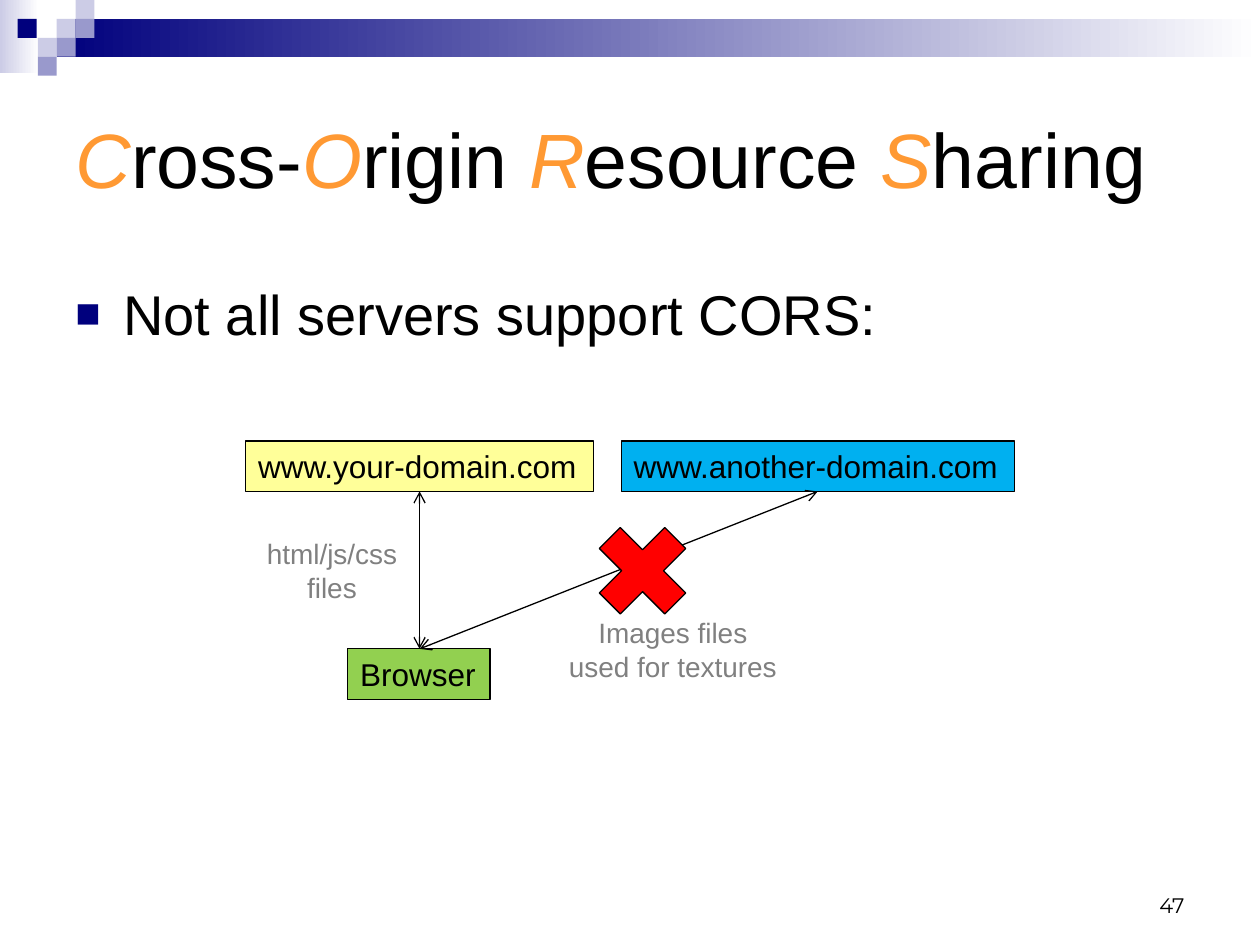
from pptx import Presentation
from pptx.dml.color import RGBColor
from pptx.enum.shapes import MSO_CONNECTOR, MSO_SHAPE
from pptx.enum.text import MSO_ANCHOR, PP_ALIGN
from pptx.oxml.ns import qn
from pptx.util import Emu, Pt
from lxml import etree

PX = 9144  # 100 px to the inch
RECTANGLE, CROSS = MSO_SHAPE.RECTANGLE, MSO_SHAPE.MATH_MULTIPLY
STRAIGHT = MSO_CONNECTOR.STRAIGHT
TOP, MIDDLE, BOTTOM = MSO_ANCHOR.TOP, MSO_ANCHOR.MIDDLE, MSO_ANCHOR.BOTTOM
LEFT, CENTER, RIGHT = PP_ALIGN.LEFT, PP_ALIGN.CENTER, PP_ALIGN.RIGHT

COLORS = {
    "black": "000000", "white": "FFFFFF", "gray": "808080",
    "navy": "00007D", "lavender": "CCCCE6", "periwinkle": "9999CC",
    "orange": "FF9933", "green": "92D050", "yellow": "FFFF99",
    "blue": "00B0F0", "red": "FF0000",
}


def px(*lengths):
    return [Emu(length * PX) for length in lengths]


def rgb(name):
    return RGBColor.from_string(COLORS[name])


class SlideBuilder:
    font = "Arial"
    line_width = Pt(0.75)

    def __init__(self, slide):
        self.slide = slide

    def shape(self, box, fill, outlined=False, kind=RECTANGLE):
        shape = self.slide.shapes.add_shape(kind, *px(*box))
        shape.shadow.inherit = False
        shape.fill.solid()
        shape.fill.fore_color.rgb = rgb(fill)
        if outlined:
            shape.line.color.rgb = rgb("black")
            shape.line.width = self.line_width
        else:
            shape.line.fill.background()
        return shape

    def fading_bar(self, box, color):
        fill = self.shape(box, color).fill
        fill.gradient()
        fill.gradient_angle = 0
        for stop, name in zip(fill.gradient_stops, (color, "white")):
            stop.color.rgb = rgb(name)

    def fill_text(self, frame, lines, size, align=LEFT, anchor=TOP, wrap=True, font=font):
        """Fill a frame with lines, each a list of (text, color, italic) runs."""
        frame.word_wrap = wrap
        frame.vertical_anchor = anchor
        for index, runs in enumerate(lines):
            paragraph = frame.add_paragraph() if index else frame.paragraphs[0]
            paragraph.alignment = align
            for text, color, italic in runs:
                run = paragraph.add_run()
                run.text = text
                run.font.name = font
                run.font.size = Pt(size)
                run.font.italic = italic
                run.font.color.rgb = rgb(color)

    def text(self, box, lines, size, **layout):
        frame = self.slide.shapes.add_textbox(*px(*box)).text_frame
        self.fill_text(frame, lines, size, **layout)
        return frame

    def bullet(self, box, text, size):
        frame = self.text(box, [[(text, "black", False)]], size)
        paragraph = frame.paragraphs[0]
        paragraph.space_before = Pt(size * 0.2)
        properties = paragraph._p.get_or_add_pPr()
        indent = 38 * PX
        properties.set("marL", str(indent))
        properties.set("indent", str(-indent))
        color = etree.SubElement(properties, qn("a:buClr"))
        etree.SubElement(color, qn("a:srgbClr"), val=COLORS["navy"])
        etree.SubElement(properties, qn("a:buSzPct"), val="75000")
        etree.SubElement(properties, qn("a:buFont"), typeface=self.font)
        etree.SubElement(properties, qn("a:buChar"), char="■")

    def node(self, box, text, fill):
        shape = self.shape(box, fill, outlined=True)
        self.fill_text(shape.text_frame, [[(text, "black", False)]], 18, wrap=False)

    def label(self, box, *lines):
        runs = [[(line, "gray", False)] for line in lines]
        self.text(box, runs, 16, align=CENTER, wrap=False)

    def double_arrow(self, start, end):
        connector = self.slide.shapes.add_connector(STRAIGHT, *px(*start, *end))
        connector.line.color.rgb = rgb("black")
        connector.line.width = self.line_width
        line = connector.line._get_or_add_ln()
        for tip in ("a:headEnd", "a:tailEnd"):
            etree.SubElement(line, qn(tip), type="arrow")
        etree.SubElement(connector._element.spPr, qn("a:effectLst"))


def draw_banner(builder):
    builder.fading_bar((0, 0, 31, 58), "lavender")
    builder.fading_bar((45, 15, 955, 30), "navy")
    side = 15
    for left, top, color in (
        (45, 15, "lavender"), (60, 0, "lavender"), (60, 15, "periwinkle"),
        (30, 30, "lavender"), (14, 15, "navy"), (45, 30, "periwinkle"),
        (30, 45, "periwinkle"),
    ):
        builder.shape((left, top, side, side), color)


def draw_title(builder):
    runs = []
    for word in ("Cross-", "Origin ", "Resource ", "Sharing"):
        runs += [(word[0], "orange", True), (word[1:], "black", False)]
    builder.text((50, 50, 900, 150), [runs], 44, anchor=MIDDLE)


def draw_diagram(builder):
    builder.node((276, 515, 113, 40), "Browser", "green")
    builder.node((195, 350, 276, 40), "www.your-domain.com", "yellow")
    builder.node((493, 350, 312, 40), "www.another-domain.com", "blue")
    browser_top, own_server, other_server = (333, 515), (333, 390), (649, 390)
    builder.double_arrow(own_server, browser_top)
    builder.double_arrow(browser_top, other_server)
    builder.label((201, 421, 125, 64), "html/js/css", "files")
    builder.label((440, 484, 188, 64), "Images files", "used for textures")
    builder.shape((460, 403, 100, 100), "red", outlined=True, kind=CROSS)


def main():
    presentation = Presentation()
    presentation.slide_width, presentation.slide_height = px(1000, 750)
    blank = presentation.slide_layouts[6]
    builder = SlideBuilder(presentation.slides.add_slide(blank))
    draw_banner(builder)
    draw_title(builder)
    builder.bullet((50, 217, 975, 75), "Not all servers support CORS:", 32)
    draw_diagram(builder)
    builder.text((717, 683, 233, 50), [[("47", "black", False)]], 12,
                 align=RIGHT, anchor=BOTTOM, font="Montserrat")
    presentation.save("out.pptx")


if __name__ == "__main__":
    main()
